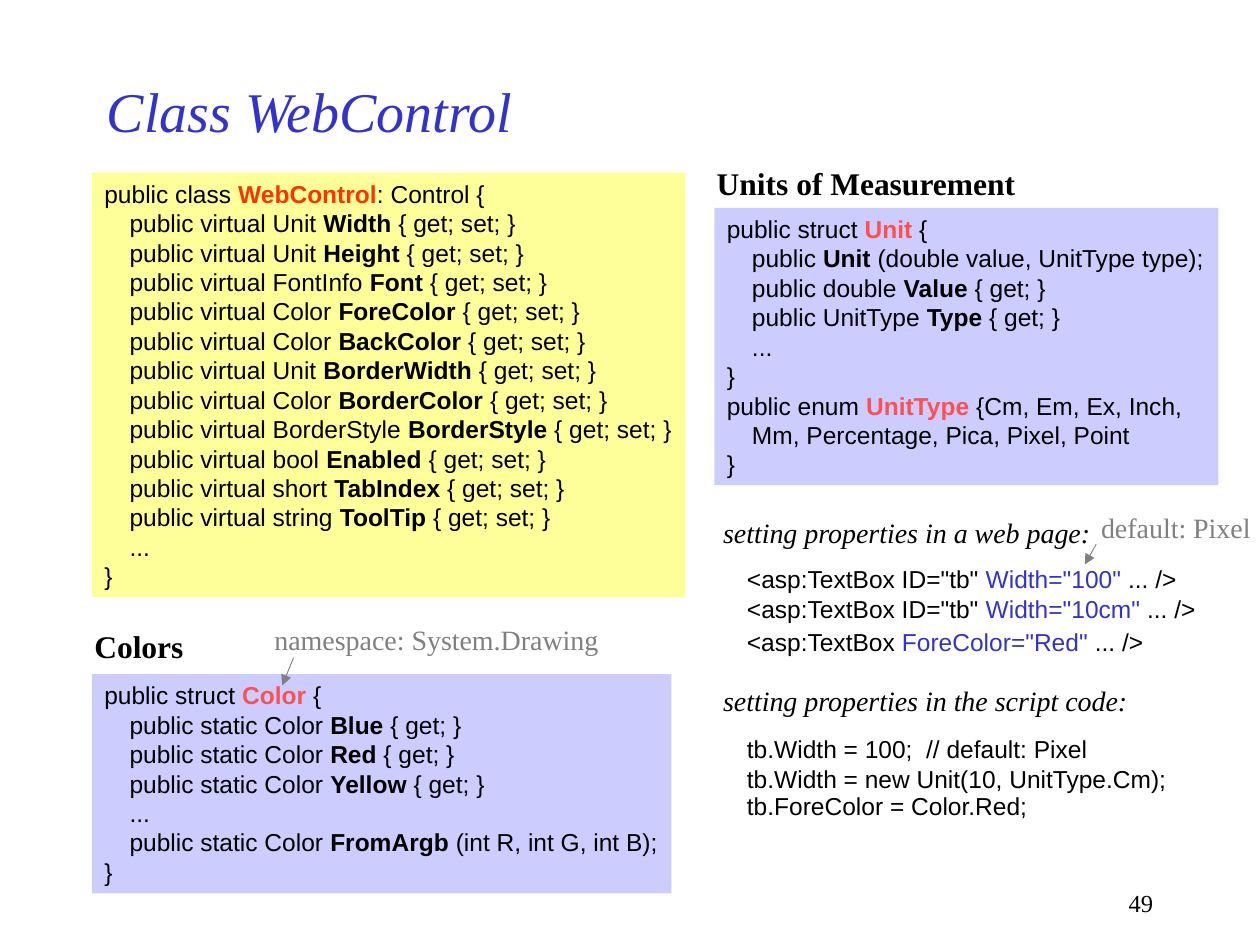
import pptx
import pptx.util
import pptx.dml.color
import pptx.enum.shapes
import pptx.enum.text
import lxml.etree
from pptx.oxml.ns import qn

Inches = pptx.util.Inches
SERIF, SANS = "Times New Roman", "Arial"
BLACK, BLUE, GREY, RED, ORANGE = "000000", "3333CC", "808080", "FF5050", "FF3300"
YELLOW_FILL, LILAC_FILL = "FFFF99", "CCCCFF"


def rgb(value):
    return pptx.dml.color.RGBColor.from_string(value)


def add_text(box, lines, size, font, fill=None, color=BLACK, bold=False,
             italic=False, wrap=False, anchor="TOP", align="LEFT"):
    """Each line is a list of runs: (text,) or (text, colour, bold)."""
    box = [Inches(v) for v in box]
    if fill:
        sp = s.shapes.add_shape(pptx.enum.shapes.MSO_SHAPE.RECTANGLE, *box)
        sp.shadow.inherit = False
        sp.fill.solid()
        sp.fill.fore_color.rgb = rgb(fill)
        sp.line.fill.background()
    else:
        sp = s.shapes.add_textbox(*box)
    tf = sp.text_frame
    tf.word_wrap = wrap
    tf.vertical_anchor = pptx.enum.text.MSO_ANCHOR[anchor]
    for i, line in enumerate(lines):
        p = tf.paragraphs[0] if i == 0 else tf.add_paragraph()
        p.alignment = pptx.enum.text.PP_ALIGN[align]
        if fill:
            # Indent stop for class members
            tabs = lxml.etree.SubElement(p._p.get_or_add_pPr(), qn("a:tabLst"))
            lxml.etree.SubElement(tabs, qn("a:tab"), pos=str(Inches(0.2)), algn="l")
        for text, *style in line:
            run_color, run_bold = style or (color, bold)
            r = p.add_run()
            r.text = text
            r.font.size = pptx.util.Pt(size)
            r.font.name = font
            r.font.bold = run_bold
            r.font.italic = italic
            r.font.color.rgb = rgb(run_color)


prs = pptx.Presentation()
prs.slide_width, prs.slide_height = Inches(10), Inches(7.5)
s = prs.slides.add_slide(prs.slide_layouts[6])

# Page number and title
add_text((7.17, 7, 2.08, 0.33), [[("49",)]], 14, SERIF, wrap=True, align="RIGHT")
add_text((0.75, 0.5, 7.5, 0.75), [[("Class WebControl",)]], 32, SERIF,
         color=BLUE, italic=True, wrap=True, anchor="MIDDLE")

# Class WebControl
properties = [
    ("Unit", "Width"), ("Unit", "Height"), ("FontInfo", "Font"),
    ("Color", "ForeColor"), ("Color", "BackColor"), ("Unit", "BorderWidth"),
    ("Color", "BorderColor"), ("BorderStyle", "BorderStyle"),
    ("bool", "Enabled"), ("short", "TabIndex"), ("string", "ToolTip"),
]
web_control = [[("public class ",), ("WebControl", ORANGE, True), (": Control {",)]]
for kind, name in properties:
    web_control.append([(f"\tpublic virtual {kind} ",), (name, BLACK, True),
                        (" { get; set; }",)])
web_control += [[("\t...",)], [("}",)]]
add_text((0.73, 1.37, 4.71, 3.37), web_control, 14, SANS, fill=YELLOW_FILL)

# Struct Unit and enum UnitType
unit = [[("public struct ",), ("Unit", RED, True), (" {",)]]
for start, name, end in [("", "Unit", " (double value, UnitType type);"),
                         ("double ", "Value", " { get; }"),
                         ("UnitType ", "Type", " { get; }")]:
    unit.append([(f"\tpublic {start}",), (name, BLACK, True), (end,)])
unit += [
    [("\t...",)],
    [("}",)],
    [("public enum ",), ("UnitType", RED, True), (" {Cm, Em, Ex, Inch,",)],
    [("\tMm, Percentage, Pica, Pixel, Point",)],
    [("}",)],
]
add_text((5.67, 1.65, 4, 2.2), unit, 14, SANS, fill=LILAC_FILL)

# Struct Color
color_struct = [[("public struct ",), ("Color", RED, True), (" {",)]]
for name in ("Blue", "Red", "Yellow"):
    color_struct.append([("\tpublic static Color ",), (name, BLACK, True),
                         (" { get; }",)])
color_struct += [
    [("\t...",)],
    [("\tpublic static Color ",), ("FromArgb", BLACK, True),
     (" (int R, int G, int B);",)],
    [("}",)],
]
add_text((0.73, 5.35, 4.6, 1.74), color_struct, 14, SANS, fill=LILAC_FILL)

# Section headings
for box, text in [((5.59, 1.25, 2.57, 0.4), "Units of Measurement"),
                  ((0.65, 4.93, 0.91, 0.4), "Colors")]:
    add_text(box, [[(text,)]], 18, SERIF, bold=True)

# Italic captions
for box, text in [((5.64, 4.04, 3.12, 0.37), "setting properties in a web page:"),
                  ((5.64, 5.38, 3.42, 0.37), "setting properties in the script code:")]:
    add_text(box, [[(text,)]], 16, SERIF, italic=True)

# Web page examples
tags = [[(f"<asp:TextBox {start}",), (attribute, BLUE, False), (" ... />",)]
        for start, attribute in [('ID="tb" ', 'Width="100"'),
                                 ('ID="tb" ', 'Width="10cm"'),
                                 ("", 'ForeColor="Red"')]]
add_text((5.83, 4.43, 3.78, 0.57), tags[:2], 14, SANS)
add_text((5.83, 4.93, 3.37, 0.34), tags[2:], 14, SANS)

# Script code examples
add_text((5.83, 5.78, 3.54, 0.57),
         [[("tb.Width = 100;  // default: Pixel",)],
          [("tb.Width = new Unit(10, UnitType.Cm);",)]], 14, SANS)
add_text((5.83, 6.23, 2.44, 0.34), [[("tb.ForeColor = Color.Red;",)]], 14, SANS)

# Grey notes with arrows
for box, text, ends in [
    ((8.64, 4, 1.39, 0.37), "default: Pixel", (8.7, 4.32, 8.61, 4.48)),
    ((2.08, 4.89, 2.77, 0.37), "namespace: System.Drawing", (2.33, 5.22, 2.24, 5.44)),
]:
    add_text(box, [[(text,)]], 16, SERIF, color=GREY)
    arrow = s.shapes.add_connector(pptx.enum.shapes.MSO_CONNECTOR.STRAIGHT,
                                   *[Inches(v) for v in ends])
    arrow.line.color.rgb = rgb(GREY)
    arrow.line.width = pptx.util.Pt(0.5)
    lxml.etree.SubElement(arrow.line._get_or_add_ln(), qn("a:tailEnd"), type="triangle")
    lxml.etree.SubElement(arrow._element.spPr, qn("a:effectLst"))

prs.save("out.pptx")
